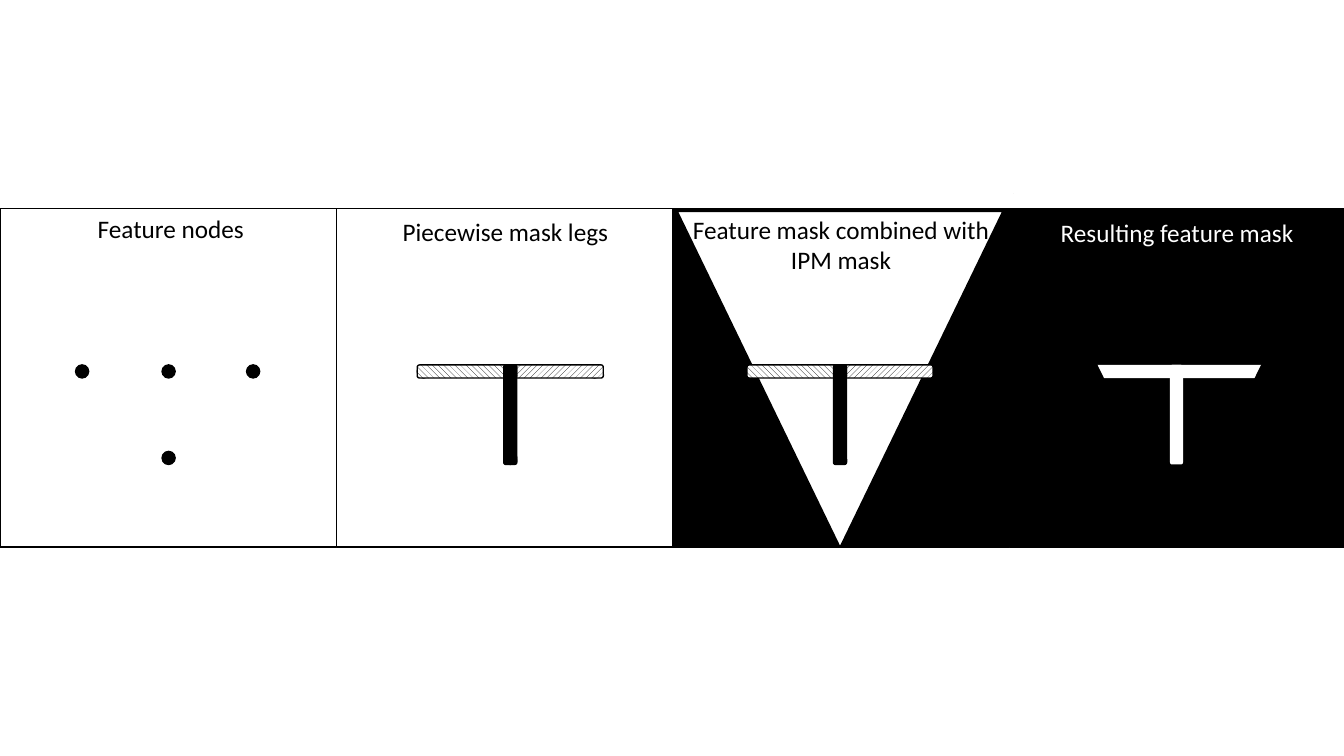
from dataclasses import dataclass

from pptx import Presentation
from pptx import util as u
from pptx.dml.color import RGBColor
from pptx.enum import dml, shapes, text
from pptx.shapes.autoshape import Shape
from pptx.slide import Slide

BLACK = RGBColor(0x00, 0x00, 0x00)
WHITE = RGBColor(0xFF, 0xFF, 0xFF)

Kind = shapes.MSO_SHAPE
Pattern = dml.MSO_PATTERN

# All lengths are centimetres.
PANEL_WIDTH, PANEL_HEIGHT, PANEL_TOP = 8.48, 8.53, 5.26
NODE_SIZE = 0.33
LEG_LENGTH = 2.51
LEG_OFFSET = 1.09
JUNCTION_Y = 9.36


@dataclass(frozen=True)
class Box:
    left: float
    top: float
    width: float
    height: float


@dataclass(frozen=True)
class Panel:
    caption: str
    caption_box: Box
    fill: RGBColor
    ink: RGBColor
    junction_x: float


@dataclass(frozen=True)
class Leg:
    dx: float
    dy: float
    rotation: float
    pattern: Pattern


@dataclass(frozen=True)
class Node:
    dx: float
    dy: float


PANELS = [
    Panel("Feature nodes", Box(0.15, 5.26, 8.31, 1.02), WHITE, BLACK, 4.25),
    Panel("Piecewise mask legs", Box(8.56, 5.33, 8.36, 1.02), WHITE, BLACK, 12.86),
    Panel("Feature mask combined with IPM mask", Box(17.12, 5.28, 8.15, 1.8),
          BLACK, BLACK, 21.17),
    Panel("Resulting feature mask", Box(25.45, 5.36, 8.43, 1.02), BLACK, WHITE, 29.65),
]
LEGS = [
    Leg(LEG_OFFSET, 0, 270, Pattern.WIDE_UPWARD_DIAGONAL),
    Leg(-LEG_OFFSET, 0, 270, Pattern.WIDE_DOWNWARD_DIAGONAL),
    Leg(0, LEG_OFFSET, 0, Pattern.DARK_VERTICAL),
]
NODES = [Node(0, 0), Node(-2.18, 0), Node(0, 2.18), Node(2.13, 0)]


def add_figure(page: Slide, kind: Kind, box: Box, fill: RGBColor,
               outlined: bool = True) -> Shape:
    figure = page.shapes.add_shape(
        kind, u.Cm(box.left), u.Cm(box.top), u.Cm(box.width), u.Cm(box.height))
    figure.shadow.inherit = False
    figure.fill.solid()
    figure.fill.fore_color.rgb = fill
    if outlined:
        figure.line.color.rgb = BLACK
        figure.line.width = u.Pt(1)
    else:
        figure.line.fill.background()
    return figure


def centred_box(x: float, y: float, width: float, height: float) -> Box:
    return Box(x - width / 2, y - height / 2, width, height)


def add_panel(page: Slide, index: int, panel: Panel) -> None:
    box = Box(index * PANEL_WIDTH, PANEL_TOP, PANEL_WIDTH, PANEL_HEIGHT)
    add_figure(page, Kind.RECTANGLE, box, panel.fill)


def add_caption(page: Slide, panel: Panel) -> None:
    box = panel.caption_box
    caption = page.shapes.add_textbox(
        u.Cm(box.left), u.Cm(box.top), u.Cm(box.width), u.Cm(box.height))
    frame = caption.text_frame
    frame.word_wrap = True
    frame.auto_size = text.MSO_AUTO_SIZE.SHAPE_TO_FIT_TEXT
    para = frame.paragraphs[0]
    para.alignment = text.PP_ALIGN.CENTER
    span = para.add_run()
    span.text = panel.caption
    span.font.name = "Calibri"
    span.font.size = u.Pt(18)
    span.font.color.rgb = panel.ink


def add_nodes(page: Slide, panel: Panel) -> None:
    for node in NODES:
        box = centred_box(panel.junction_x + node.dx, JUNCTION_Y + node.dy,
                          NODE_SIZE, NODE_SIZE)
        add_figure(page, Kind.OVAL, box, BLACK)


def add_legs(page: Slide, panel: Panel, hatched: bool) -> None:
    for leg in LEGS:
        box = centred_box(panel.junction_x + leg.dx, JUNCTION_Y + leg.dy,
                          NODE_SIZE, LEG_LENGTH)
        bar = add_figure(page, Kind.ROUNDED_RECTANGLE, box, WHITE, outlined=hatched)
        bar.rotation = leg.rotation
        if hatched:
            bar.fill.patterned()
            bar.fill.pattern = leg.pattern
            bar.fill.fore_color.rgb = BLACK
            bar.fill.back_color.rgb = WHITE


def add_clipping_wedges(page: Slide) -> None:
    """Cut the ends of the resulting mask along the field of view."""
    for left, flipped in ((29.57, False), (25.55, True)):
        wedge = add_figure(page, Kind.ISOSCELES_TRIANGLE,
                           Box(left, 4.88, 4.32, 8.84), BLACK, outlined=False)
        wedge.adjustments[0] = 1.0
        if flipped:
            wedge._element.spPr.xfrm.set("flipH", "1")
    add_figure(page, Kind.RECTANGLE, Box(25.1, 4.88, 8.79, 0.36), WHITE, outlined=False)


def main() -> None:
    deck = Presentation()
    deck.slide_width, deck.slide_height = u.Cm(33.87), u.Cm(19.05)
    page = deck.slides.add_slide(deck.slide_layouts.get_by_name("Blank"))
    nodes, legs, combined, result = PANELS

    for index, panel in enumerate(PANELS):
        add_panel(page, index, panel)
    field_of_view = add_figure(page, Kind.ISOSCELES_TRIANGLE,
                               Box(17.07, 5.33, 8.2, 8.46), WHITE)
    field_of_view.rotation = 180
    for panel in PANELS:
        add_caption(page, panel)

    for panel in (nodes, legs):
        add_nodes(page, panel)
    for panel in (legs, combined, result):
        add_legs(page, panel, hatched=panel is not result)
    add_clipping_wedges(page)
    deck.save("out.pptx")


if __name__ == "__main__":
    main()
